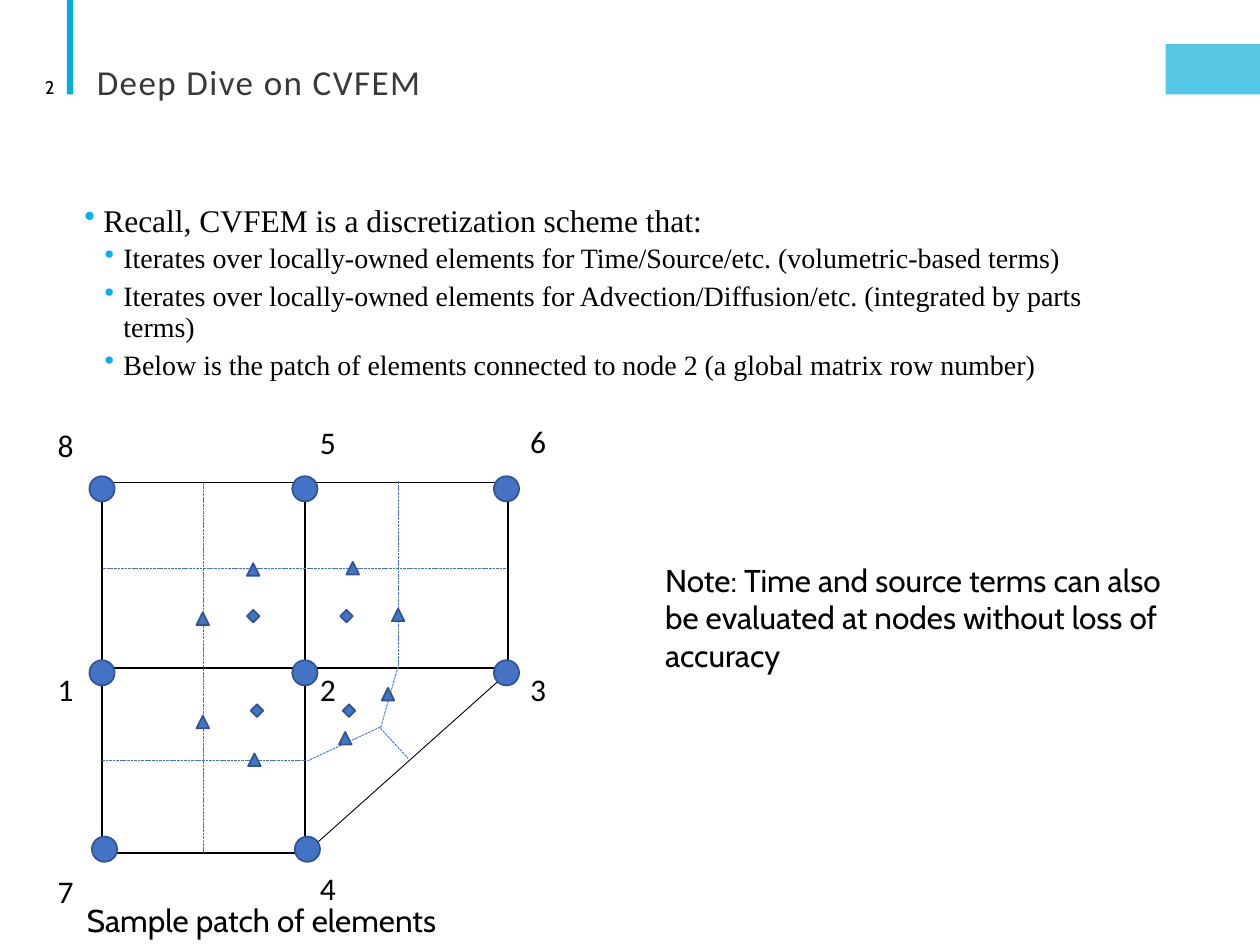
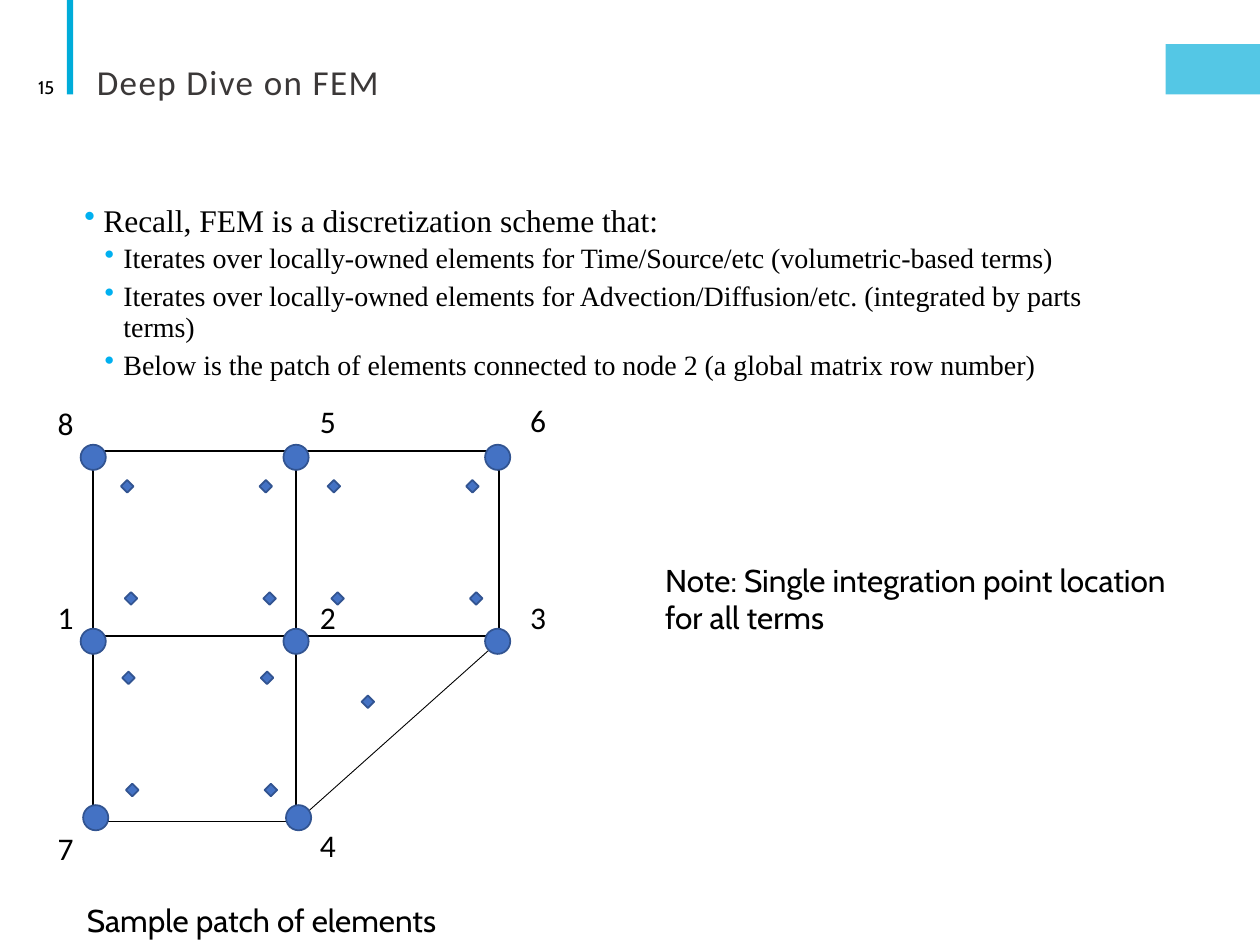
from dataclasses import dataclass
from itertools import product
from typing import NamedTuple, Optional

from pptx import Presentation
from pptx.dml.color import RGBColor
from pptx.enum.dml import MSO_LINE
from pptx.enum.shapes import MSO_CONNECTOR as Link, MSO_SHAPE as Geo
from pptx.enum.text import MSO_ANCHOR as Anchor, MSO_AUTO_SIZE as Fit, PP_ALIGN as Align
from pptx.oxml.ns import qn
from pptx.shapes.autoshape import Shape
from pptx.slide import Slide
from pptx.util import Inches, Pt
from lxml.etree import SubElement

HEX = {
    "bar": "00ACD9", "title": "3B3838", "ink": "000000", "dot": "00B0F0",
    "node": "4472C4", "rim": "325491",
}
FONTS = {
    "title": {"name": "Calibri", "size": Pt(20)},
    "page": {"name": "Cabin", "size": Pt(10.5)},
    "head": {"name": "Times New Roman", "size": Pt(18)},
    "item": {"name": "Times New Roman", "size": Pt(16)},
    "label": {"name": "Calibri", "size": Pt(18)},
    "note": {"name": "Cabin", "size": Pt(18)},
}
SNUG = {"word_wrap": False, "auto_size": Fit.SHAPE_TO_FIT_TEXT}
GROW = {"word_wrap": True, "auto_size": Fit.SHAPE_TO_FIT_TEXT}
HEAD = {"line_spacing": 0.9, "space_before": Pt(0), "space_after": Pt(1.5)}
ITEM = {"line_spacing": 0.9, "space_before": Pt(1.5), "space_after": Pt(3)}

Point = tuple[float, float]
Box = tuple[float, float, float, float]


class Node(NamedTuple):
    name: str
    col: int
    row: int
    lift: float = 0


class Join(NamedTuple):
    cell: int
    side: int


class Dash(NamedTuple):
    start: Point
    end: Point
    begin: Optional[Join] = None
    finish: Optional[Join] = None


@dataclass
class Page:
    number: str
    scheme: str
    first: str
    note: str
    depth: float
    mesh: Point
    rows: tuple[float, float, float]
    gems: list[Point]
    peaks: list[Point]
    cuts: list[Dash]


CELL_W, CELL_H = 1.61, 1.47
CELLS = [(1, 0), (0, 0), (0, 1)]
NODE_X = (-0.1, 1.51, 3.11)
NODE_Y = (-0.05, 1.41, 2.81)
LABEL_X = (0.36, 2.44, 4.11)
NODES = [
    Node("8", 0, 0), Node("5", 1, 0, 0.02), Node("6", 2, 0, 0.03),
    Node("1", 0, 1), Node("2", 1, 1), Node("3", 2, 1),
    Node("7", 0, 2), Node("4", 1, 2, 0.02),
]

QUADS = [(0.97, 5.33), (0.96, 3.81), (2.6, 3.81)]
GAUSS = [
    (x + 1.1 * col + 0.03 * row, y + 0.89 * row)
    for (x, y), row, col in product(QUADS, range(2), range(2))
]

PAGES = [
    Page(
        "2", "CVFEM",
        "Iterates over locally-owned elements for Time/Source/etc. (volumetric-based terms)",
        "Note: Time and source terms can also be evaluated at nodes without loss of accuracy",
        1.01, (0.81, 3.83), (3.33, 5.27, 6.87),
        gems=[(1.96, 4.84), (2.7, 4.84), (1.99, 5.59), (2.72, 5.59)],
        peaks=[
            (1.96, 4.47), (2.75, 4.46), (1.97, 5.98), (1.56, 4.86),
            (1.56, 5.68), (3.11, 4.83), (3.03, 5.46), (2.69, 5.81),
        ],
        cuts=[
            Dash((1.61, 3.83), (1.61, 6.77), Join(1, 0), Join(2, 2)),
            Dash((0.81, 6.03), (2.42, 6.03), Join(2, 1), Join(2, 3)),
            Dash((0.82, 4.51), (4.02, 4.51)),
            Dash((3.16, 3.82), (3.16, 5.3)),
            Dash((3.16, 5.29), (3.02, 5.78)),
            Dash((3.02, 5.77), (2.44, 6.04)),
            Dash((3.02, 5.78), (3.24, 6.02)),
        ],
    ),
    Page(
        "15", "FEM",
        "Iterates over locally-owned elements for Time/Source/etc (volumetric-based terms)",
        "Note: Single integration point location for all terms",
        0.71, (0.74, 3.58), (3.16, 4.7, 6.53),
        gems=GAUSS + [(2.87, 5.52)], peaks=[], cuts=[],
    ),
]


def shade(name: str) -> RGBColor:
    return RGBColor.from_string(HEX[name])


def assign(target, values: dict) -> None:
    for key, value in values.items():
        setattr(target, key, value)


def place(slide: Slide, kind: Geo, box: Box, fill: str = "", rim: str = "") -> Shape:
    """Draw a preset shape; an empty colour name means none."""
    shape = slide.shapes.add_shape(kind, *map(Inches, box))
    shape.shadow.inherit = False
    if fill:
        shape.fill.solid()
        shape.fill.fore_color.rgb = shade(fill)
    else:
        shape.fill.background()
    if rim:
        shape.line.color.rgb = shade(rim)
        shape.line.width = Pt(1)
    else:
        shape.line.fill.background()
    return shape


def rule(slide: Slide, start: Point, end: Point, color: str):
    line = slide.shapes.add_connector(Link.STRAIGHT, *map(Inches, start + end))
    line.line.color.rgb = shade(color)
    line.line.width = Pt(0.5)
    SubElement(line._element.spPr, qn("a:effectLst"))
    return line


def write(para, text: str, style: str, color: str = "ink"):
    run = para.add_run()
    run.text = text
    assign(run.font, FONTS[style])
    run.font.color.rgb = shade(color)
    return run


def text_box(slide: Slide, box: Box, frame: dict):
    shape = slide.shapes.add_textbox(*map(Inches, box))
    assign(shape.text_frame, frame)
    return shape.text_frame


def bullet(para, left: float, values: dict) -> None:
    assign(para, values)
    props = para._p.get_or_add_pPr()
    props.set("marL", str(Inches(left)))
    props.set("indent", str(-Inches(0.15)))
    tint = SubElement(props, qn("a:buClr"))
    SubElement(tint, qn("a:srgbClr"), val=HEX["dot"])
    SubElement(props, qn("a:buChar"), char="•")


def draw_frame(slide: Slide, page: Page) -> None:
    """Draw the bands, title and page number."""
    place(slide, Geo.RECTANGLE, (0.53, 0, 0.05, 0.75), "bar")
    tab = place(slide, Geo.RECTANGLE, (9.25, 0.35, 0.75, 0.4), "bar")
    tint = tab._element.spPr.find(".//" + qn("a:srgbClr"))
    SubElement(tint, qn("a:alpha"), val="67000")

    wrap = {"word_wrap": True}
    frame = text_box(slide, (0.67, 0.24, 8.25, 0.62),
                     wrap | {"vertical_anchor": Anchor.BOTTOM})
    para = frame.paragraphs[0]
    para.line_spacing = 0.85
    run = write(para, f"Deep Dive on {page.scheme}", "title", "title")
    run._r.get_or_add_rPr().set("spc", "80")

    frame = text_box(slide, (0.05, 0.49, 0.48, 0.4),
                     wrap | {"vertical_anchor": Anchor.MIDDLE})
    frame.paragraphs[0].alignment = Align.RIGHT
    write(frame.paragraphs[0], page.number, "page")


def draw_body(slide: Slide, page: Page) -> None:
    frame = text_box(slide, (0.67, 1.58, 8.25, 3.62),
                     {"word_wrap": True, "margin_left": 0, "margin_right": 0})
    para = frame.paragraphs[0]
    bullet(para, 0.15, HEAD)
    write(para, f"Recall, {page.scheme} is a discretization scheme that:", "head")
    for text in (
        page.first,
        "Iterates over locally-owned elements for Advection/Diffusion/etc. "
        "(integrated by parts terms)",
        "Below is the patch of elements connected to node 2 (a global matrix row number)",
    ):
        para = frame.add_paragraph()
        para.level = 1
        bullet(para, 0.31, ITEM)
        write(para, text, "item")


def draw_mesh(slide: Slide, page: Page) -> None:
    left, top = page.mesh
    rule(slide, (left + 1.56, top + 2.99), (left + 3.14, top + 1.58), "ink")
    cells = [
        place(slide, Geo.RECTANGLE,
              (left + col * CELL_W, top + row * CELL_H, CELL_W, CELL_H), rim="ink")
        for col, row in CELLS
    ]
    for node in NODES:
        shift = 0.02 if node.row == 2 else 0
        spot = (left + NODE_X[node.col] + shift, top + NODE_Y[node.row])
        place(slide, Geo.OVAL, (*spot, 0.2, 0.2), "node", "rim")
    for cut in page.cuts:
        line = rule(slide, cut.start, cut.end, "node")
        line.line.dash_style = MSO_LINE.SQUARE_DOT
        if cut.begin:
            line.begin_connect(cells[cut.begin.cell], cut.begin.side)
        if cut.finish:
            line.end_connect(cells[cut.finish.cell], cut.finish.side)
    for kind, spots in ((Geo.ISOSCELES_TRIANGLE, page.peaks), (Geo.DIAMOND, page.gems)):
        for spot in spots:
            place(slide, kind, (*spot, 0.1, 0.1), "node", "rim")


def draw_notes(slide: Slide, page: Page) -> None:
    """Write the node numbers, the caption and the side note."""
    for node in NODES:
        box = (LABEL_X[node.col], page.rows[node.row] - node.lift, 0.33, 0.4)
        write(text_box(slide, box, SNUG).paragraphs[0], node.name, "label")
    frame = text_box(slide, (0.59, 7.1, 3.15, 0.4), SNUG)
    write(frame.paragraphs[0], "Sample patch of elements", "note")
    frame = text_box(slide, (5.18, 4.4, 4.18, page.depth), GROW)
    write(frame.paragraphs[0], page.note, "note")


def main() -> None:
    deck = Presentation()
    deck.slide_width, deck.slide_height = Inches(10), Inches(7.5)
    for page in PAGES:
        slide = deck.slides.add_slide(deck.slide_layouts[6])
        for draw in (draw_frame, draw_body, draw_mesh, draw_notes):
            draw(slide, page)
    deck.save("out.pptx")


if __name__ == "__main__":
    main()
